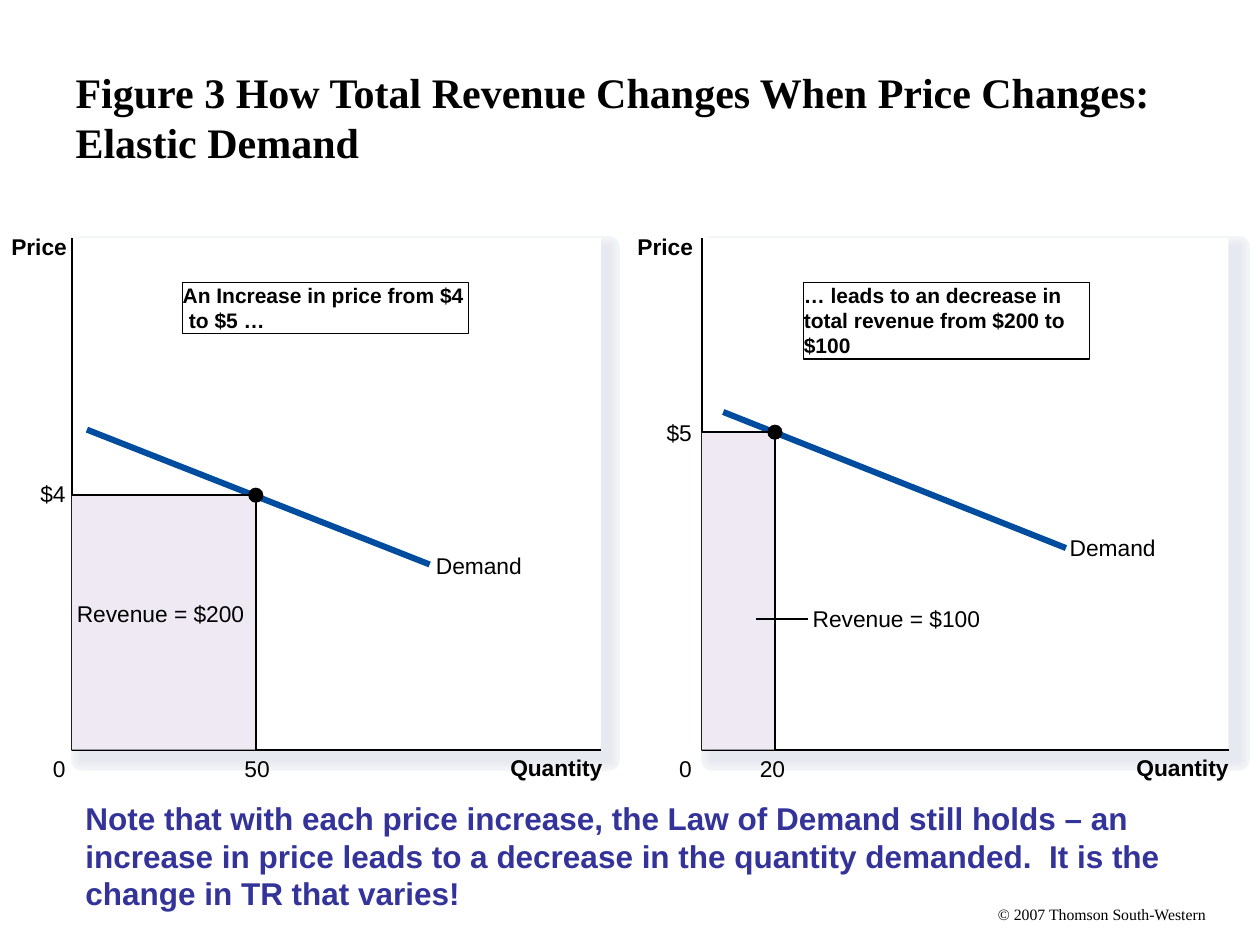
from pptx import Presentation
from pptx.dml.color import RGBColor
from pptx.enum.shapes import MSO_CONNECTOR, MSO_SHAPE
from pptx.enum.text import MSO_ANCHOR, PP_ALIGN
from pptx.oxml.ns import qn
from pptx.util import Inches, Pt

RECT, OVAL = MSO_SHAPE.RECTANGLE, MSO_SHAPE.OVAL
STRAIGHT = MSO_CONNECTOR.STRAIGHT
LEFT, TOP, MIDDLE = PP_ALIGN.LEFT, MSO_ANCHOR.TOP, MSO_ANCHOR.MIDDLE
BLACK = RGBColor(0, 0, 0)
WHITE = RGBColor(255, 255, 255)
BLUE = RGBColor(0x00, 0x4C, 0x9F)
INDIGO = RGBColor(0x33, 0x33, 0x99)
LILAC = RGBColor(0xEF, 0xE9, 0xF4)
SHADES = [RGBColor.from_string(c) for c in (
    "F3F6F9 F2F4F8 F1F4F7 F0F2F5 EEF1F4 EDEFF3 "
    "EBEEF2 EAECF1 E9EBF0 E7EAEF E6E9EF").split()]

TITLE = "Figure 3 How Total Revenue Changes When Price Changes: Elastic Demand"
NOTE = ("Note that with each price increase, the Law of Demand still holds – an "
        "increase in price leads to a decrease in the quantity demanded.  "
        "It is the change in TR that varies!")
CREDIT = "© 2007 Thomson South-Western"

# Points are (x, y) in inches; "axis" is the x of the labels left of the panel.
PANELS = [
    dict(left=0.57, width=4.2, axis=0.09, point=(2.03, 3.93),
         price=("$4", 0.32, 3.81), amount=("50", 1.94),
         demand=((0.69, 3.41), (3.41, 4.48)), name=(3.46, 4.38),
         revenue=("Revenue = $200", 0.61, 4.76), leader=None,
         callout=(["An Increase in price from $4", "to $5 …"], 1.45, 0.41)),
    dict(left=5.57, width=4.18, axis=5.06, point=(6.15, 3.43),
         price=("$5", 5.29, 3.32), amount=("20", 6.03),
         demand=((5.74, 3.27), (8.46, 4.35)), name=(8.49, 4.24),
         revenue=("Revenue = $100", 6.45, 4.8), leader=((6, 4.91), (6.41, 4.91)),
         callout=(["… leads to an decrease in total revenue from $200 to $100"],
                  6.38, 0.61)),
]
CEIL, FLOOR = 1.89, 5.95
DOT = 0.12

prs = Presentation()
prs.slide_width, prs.slide_height = Inches(10), Inches(7.5)
slide = prs.slides.add_slide(prs.slide_layouts[5])
shapes = slide.shapes


def write(shape, lines, size, bold=False, color=BLACK, face="Arial",
          pad=(0, 0), anchor=TOP):
    frame = shape.text_frame
    frame.text = "\n".join(lines)
    style = dict(word_wrap=True, vertical_anchor=anchor,
                 margin_left=Inches(pad[0]), margin_right=Inches(pad[0]),
                 margin_top=Inches(pad[1]), margin_bottom=Inches(pad[1]))
    for key, value in style.items():
        setattr(frame, key, value)
    for para in frame.paragraphs:
        para.alignment = LEFT
        for key, value in dict(size=Pt(size), bold=bold, name=face).items():
            setattr(para.font, key, value)
        para.font.color.rgb = color


def label(text, x, y, w, h=0.27, size=13, **look):
    box = shapes.add_textbox(Inches(x), Inches(y), Inches(w), Inches(h))
    write(box, [text], size, **look)


def block(x, y, w, h, fill, line=None, weight=0, kind=RECT):
    shape = shapes.add_shape(kind, Inches(x), Inches(y), Inches(w), Inches(h))
    shape.shadow.inherit = False
    shape.fill.solid()
    shape.fill.fore_color.rgb = fill
    if line is None:
        shape.line.fill.background()
    else:
        shape.line.color.rgb = line
        shape.line.width = Pt(weight)
    return shape


def bend(points):
    """Draw an open black line through the points."""
    spots = [(Inches(x), Inches(y)) for x, y in points]
    path = shapes.build_freeform(*spots[0], scale=1.0)
    path.add_line_segments(spots[1:], close=False)
    shape = path.convert_to_shape()
    shape.shadow.inherit = False
    shape.fill.background()
    shape.line.color.rgb = BLACK
    shape.line.width = Pt(1.12)


def line(ends, color, weight):
    (x1, y1), (x2, y2) = ends
    rule = shapes.add_connector(STRAIGHT, Inches(x1), Inches(y1),
                                Inches(x2), Inches(y2))
    rule.line.color.rgb = color
    rule.line.width = Pt(weight)
    props = rule._element.spPr
    props.append(props.makeelement(qn("a:effectLst"), {}))


def draw(panel):
    left, width, axis = panel["left"], panel["width"], panel["axis"]
    x, y = panel["point"]

    # Soft shadow: ever darker and thinner frames, one on the other
    for step, shade in enumerate(SHADES):
        block(left + 0.08, CEIL + 0.07, 4.18, 4.07, shade, shade,
              round(13 - 1.19 * step, 2))
    block(left, CEIL, width, FLOOR - CEIL, WHITE)
    bend([(left, CEIL), (left, FLOOR), (left + width, FLOOR)])

    line(panel["demand"], BLUE, 3.5)
    label("Demand", *panel["name"], 0.76)
    label("Quantity", axis + 3.96, 5.98, 0.83, bold=True)
    label("0", axis + 0.33, 5.99, 0.18)
    label("Price", axis, 1.85, 0.54, bold=True)

    block(left, y, x - left, FLOOR - y, LILAC)
    if panel["leader"]:
        line(panel["leader"], BLACK, 1.12)
    label(*panel["revenue"], 1.38, 0.22)
    bend([(x, FLOOR), (x, y), (left, y)])
    block(x - DOT / 2, y - DOT / 2, DOT, DOT, BLACK, kind=OVAL)
    label(*panel["price"], 0.29)
    label(*panel["amount"], 5.99, 0.29)

    lines, start, height = panel["callout"]
    box = block(start, 2.24, 2.27, height, WHITE, BLACK, 0.75)
    write(box, lines, 12, bold=True)
    for para in box.text_frame.paragraphs[1:]:
        para._p.get_or_add_pPr().set("marL", str(Inches(0.05)))


title = shapes.title
title.left, title.top = Inches(0.5), Inches(0.3)
title.width, title.height = Inches(9), Inches(1.25)
write(title, [TITLE], 24, bold=True, face="Times New Roman",
      pad=(0.1, 0.05), anchor=MIDDLE)
for panel in PANELS:
    draw(panel)
label(NOTE, 0.58, 6.29, 9.08, 1, 18, bold=True, color=INDIGO, pad=(0.1, 0.05))
label(CREDIT, 7.92, 7.18, 1.75, 0.15, 9, face="Times New Roman")

prs.save("out.pptx")
